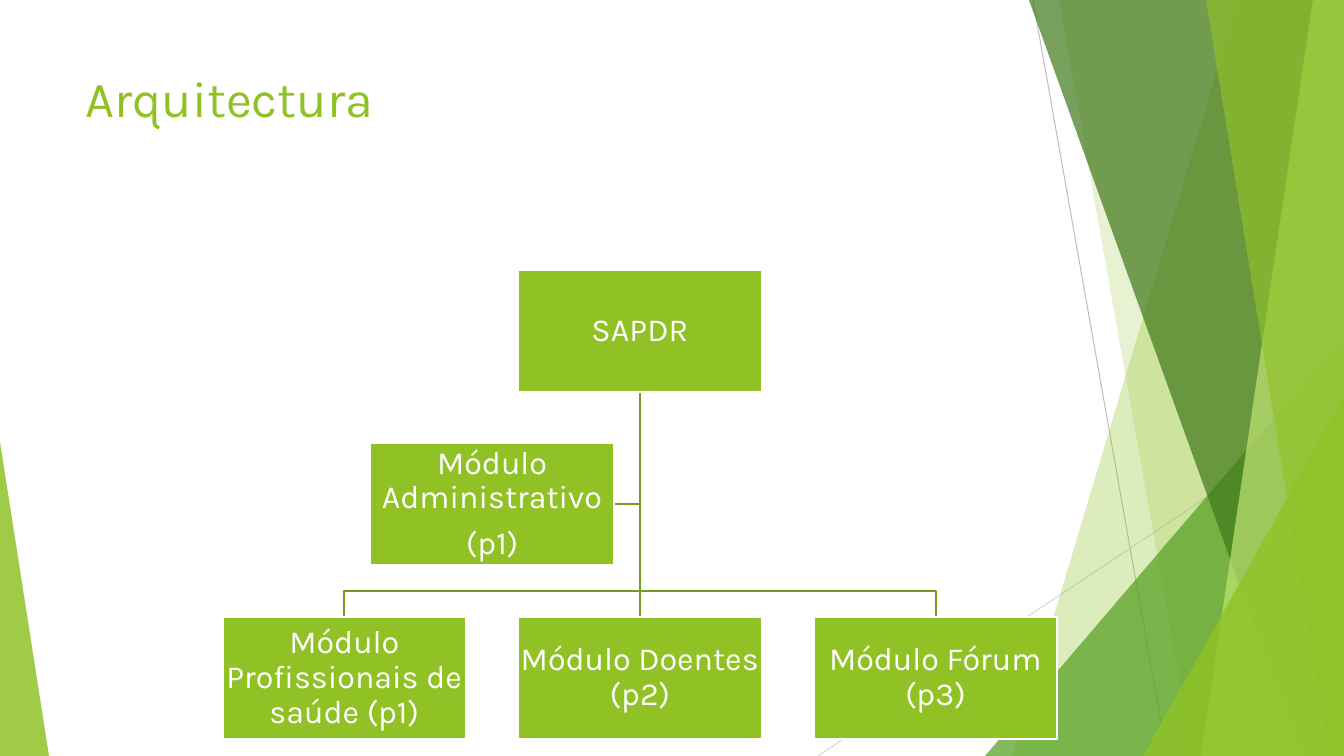
from lxml import etree
from pptx import Presentation
from pptx.dml.color import RGBColor
from pptx.enum.shapes import MSO_CONNECTOR, MSO_SHAPE
from pptx.enum.text import MSO_ANCHOR, PP_ALIGN
from pptx.oxml.ns import qn
from pptx.util import Pt

COLORS = {
    "lime": "90C226",
    "green": "54A021",
    "forest": "3F7819",
    "pale": "C0E474",
    "branch": "739B1E",
    "gray": "BFBFBF",
    "light_gray": "D9D9D9",
    "white": "FFFFFF",
}
SCALE = 914400 / 100.8
WIDTH, HEIGHT = 1344, 756


def px(value):
    return round(value * SCALE)


def rgb(name):
    return RGBColor.from_string(COLORS[name])


class SlideBuilder:
    font = "Karla"

    def __init__(self, slide):
        self.slide = slide
        self.shapes = slide.shapes

    def set_text(self, frame, paragraphs, size, color, align, anchor):
        frame.word_wrap = True
        frame.vertical_anchor = anchor
        frame.text = "\n".join(paragraphs)
        for paragraph in frame.paragraphs:
            paragraph.alignment = align
            font = paragraph.runs[0].font
            font.name, font.size = self.font, Pt(size)
            font.color.rgb = rgb(color)

    def title(self, text, x, y, w, h):
        title = self.shapes.title
        title.left, title.top, title.width, title.height = map(px, (x, y, w, h))
        self.set_text(title.text_frame, [text], 36, "lime", PP_ALIGN.LEFT, MSO_ANCHOR.TOP)

    def tint(self, shape, color, opacity):
        shape.shadow.inherit = False
        shape.fill.solid()
        shape.fill.fore_color.rgb = rgb(color)
        shape.line.fill.background()
        fill = shape.element.spPr.find(qn("a:solidFill"))
        etree.SubElement(fill[0], qn("a:alpha"), val=str(opacity * 1000))

    def outline(self, points, close):
        builder = self.shapes.build_freeform(*points[0], scale=SCALE)
        builder.add_line_segments(points[1:], close=close)
        return builder.convert_to_shape()

    def facet(self, top_x, bottom_x, color, opacity):
        points = [(top_x, 0), (WIDTH, 0), (WIDTH, HEIGHT), (bottom_x, HEIGHT)]
        self.tint(self.outline(points, True), color, opacity)

    def triangle(self, x, y, w, apex, color, opacity):
        box = map(px, (x, y, w, HEIGHT - y))
        shape = self.shapes.add_shape(MSO_SHAPE.ISOSCELES_TRIANGLE, *box)
        shape.adjustments[0] = apex
        self.tint(shape, color, opacity)

    def line(self, start, end, color, width):
        ends = map(px, (*start, *end))
        line = self.shapes.add_connector(MSO_CONNECTOR.STRAIGHT, *ends)
        line.line.color.rgb = rgb(color)
        line.line.width = Pt(width)
        etree.SubElement(line.element.spPr, qn("a:effectLst"))

    def branch(self, points):
        shape = self.outline(points, False)
        shape.shadow.inherit = False
        shape.fill.background()
        shape.line.color.rgb = rgb("branch")
        shape.line.width = Pt(1.5)

    def box(self, center, top, w, h, paragraphs):
        place = map(px, (center - w / 2, top, w, h))
        shape = self.shapes.add_shape(MSO_SHAPE.RECTANGLE, *place)
        shape.shadow.inherit = False
        shape.fill.solid()
        shape.fill.fore_color.rgb = rgb("lime")
        shape.line.color.rgb = rgb("white")
        shape.line.width = Pt(1.5)
        frame = shape.text_frame
        frame.margin_left = frame.margin_right = px(2)
        frame.margin_top = frame.margin_bottom = px(2)
        self.set_text(frame, paragraphs, 23, "white", PP_ALIGN.CENTER, MSO_ANCHOR.MIDDLE)
        for paragraph in frame.paragraphs:
            paragraph.line_spacing = 0.9
            paragraph.space_after = Pt(8)


prs = Presentation()
prs.slide_width, prs.slide_height = px(WIDTH), px(HEIGHT)
page = SlideBuilder(prs.slides.add_slide(prs.slide_layouts[5]))

page.line((1033, 0), (1167, HEIGHT), "gray", 0.75)
page.line((WIDTH, 406), (818, HEIGHT), "light_gray", 0.75)
page.facet(1238, 1012, "lime", 30)
page.facet(1059, 1193, "lime", 20)
page.triangle(985, 336, 359, 1, "green", 72)
page.facet(1029, 1301, "forest", 70)
page.facet(1313, 1201, "pale", 70)
page.facet(1206, 1329, "lime", 65)
page.triangle(1143, 396, 201, 1, "lime", 80)
page.triangle(0, 442, 49, 0, "lime", 85)
page.title("Arquitectura", 75, 62, 948, 145)

BOX_W, BOX_H = 244, 122
ROOT_X, COLUMN_STEP = 640, 295.5
ROOT_Y, ADMIN_Y, MODULE_Y = 270, 443, 617
ADMIN_X = ROOT_X - COLUMN_STEP / 2
ROOT_BOTTOM = ROOT_Y + BOX_H
ADMIN_MIDDLE = ADMIN_Y + BOX_H / 2
BUS_Y = 591
MODULES = ["Módulo Profissionais de saúde (p1)", "Módulo Doentes (p2)", "Módulo Fórum (p3)"]
columns = [ROOT_X + step * COLUMN_STEP for step in (-1, 0, 1)]

page.branch([(ROOT_X, ROOT_BOTTOM), (ROOT_X, ADMIN_MIDDLE), (ADMIN_X + BOX_W / 2, ADMIN_MIDDLE)])
for x in (columns[0], columns[2]):
    page.branch([(ROOT_X, ROOT_BOTTOM), (ROOT_X, BUS_Y), (x, BUS_Y), (x, MODULE_Y)])
page.line((ROOT_X, ROOT_BOTTOM), (ROOT_X, MODULE_Y), "branch", 1.5)

page.box(ROOT_X, ROOT_Y, BOX_W, BOX_H, ["SAPDR"])
for x, name in zip(columns, MODULES):
    page.box(x, MODULE_Y, BOX_W, BOX_H, [name])
page.box(ADMIN_X, ADMIN_Y, BOX_W, BOX_H, ["Módulo Administrativo", "(p1)"])

prs.save("out.pptx")
